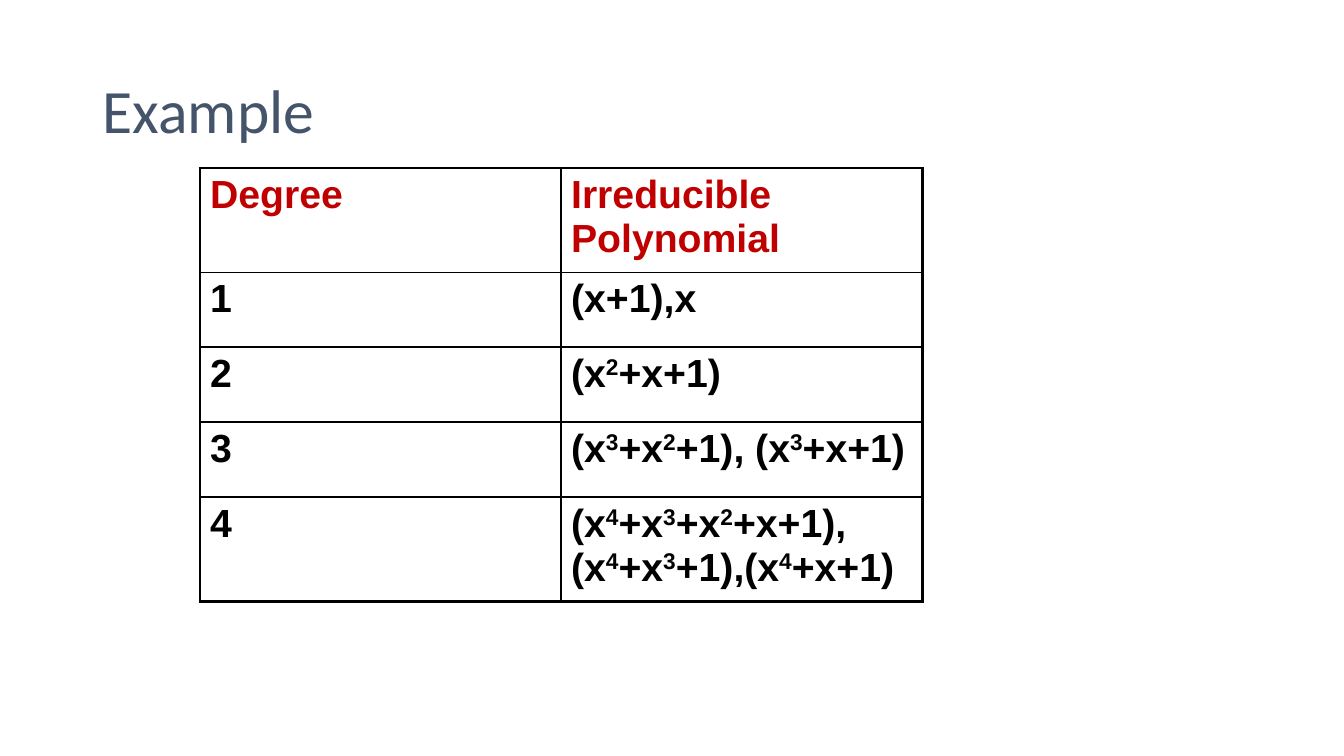
from lxml.etree import SubElement as Sub
from pptx import Presentation as Deck
from pptx.dml.color import RGBColor as Color
from pptx.enum.text import MSO_ANCHOR as Anchor
from pptx.oxml.ns import qn
from pptx.util import Cm, Pt

SLATE = Color(0x44, 0x54, 0x6A)
RED = Color(0xC0, 0x00, 0x00)
BLACK = Color(0x00, 0x00, 0x00)

ROWS = [
    ("Degree", "Irreducible Polynomial"),
    ("1", "(x+1),x"),
    ("2", "(x^2+x+1)"),
    ("3", "(x^3+x^2+1), (x^3+x+1)"),
    ("4", "(x^4+x^3+x^2+x+1), (x^4+x^3+1),(x^4+x+1)"),
]


def write(frame, text, font="Arial", size=28, color=BLACK, bold=False, space=1.0):
    line = frame.paragraphs[0]
    line.line_spacing = space
    head, *tail = text.split("^")
    parts = [(head, False)]
    for part in tail:
        parts += [(part[0], True), (part[1:], False)]
    for part, high in parts:
        run = line.add_run()
        run.text = part
        run.font.name = font
        run.font.size = Pt(size)
        run.font.bold = bold
        run.font.color.rgb = color
        if high:
            run.font._element.set("baseline", "30000")


class Page:
    thin, thick = 1, 2.25

    def __init__(self, deck):
        self.slide = deck.slides.add_slide(deck.slide_layouts[6])

    def title(self, text, left, top, width, height):
        box = self.slide.shapes.add_textbox(Cm(left), Cm(top), Cm(width), Cm(height))
        frame = box.text_frame
        frame.word_wrap = True
        frame.vertical_anchor = Anchor.MIDDLE
        write(frame, text, font="Calibri", size=44, color=SLATE, space=0.9)

    def edge(self, cell, side, width):
        line = Sub(cell._tc.get_or_add_tcPr(), qn("a:ln" + side), w=str(Pt(width)))
        fill = Sub(line, qn("a:solidFill"))
        Sub(fill, qn("a:srgbClr"), val=str(BLACK))

    def table(self, rows, left, top, width, height):
        count, wide = len(rows), len(rows[0])
        table = self.slide.shapes.add_table(
            count, wide, Cm(left), Cm(top), Cm(width * wide), Cm(height * count)
        ).table
        table.first_row = table.horz_banding = False
        for r, row in enumerate(rows):
            for c, text in enumerate(row):
                cell = table.cell(r, c)
                outer = {"L": c == 0, "R": c == wide - 1, "T": r == 0, "B": r == count - 1}
                for side, rim in outer.items():
                    self.edge(cell, side, self.thick if rim else self.thin)
                cell.fill.background()
                write(cell.text_frame, text, color=BLACK if r else RED, bold=True)


def main():
    deck = Deck()
    deck.slide_width, deck.slide_height = Cm(33.87), Cm(19.05)
    page = Page(deck)
    page.title("Example", 2.34, 1.02, 29.21, 3.68)
    page.table(ROWS, 5.04, 4.23, 9.1, 1.89)
    deck.save("out.pptx")


if __name__ == "__main__":
    main()
